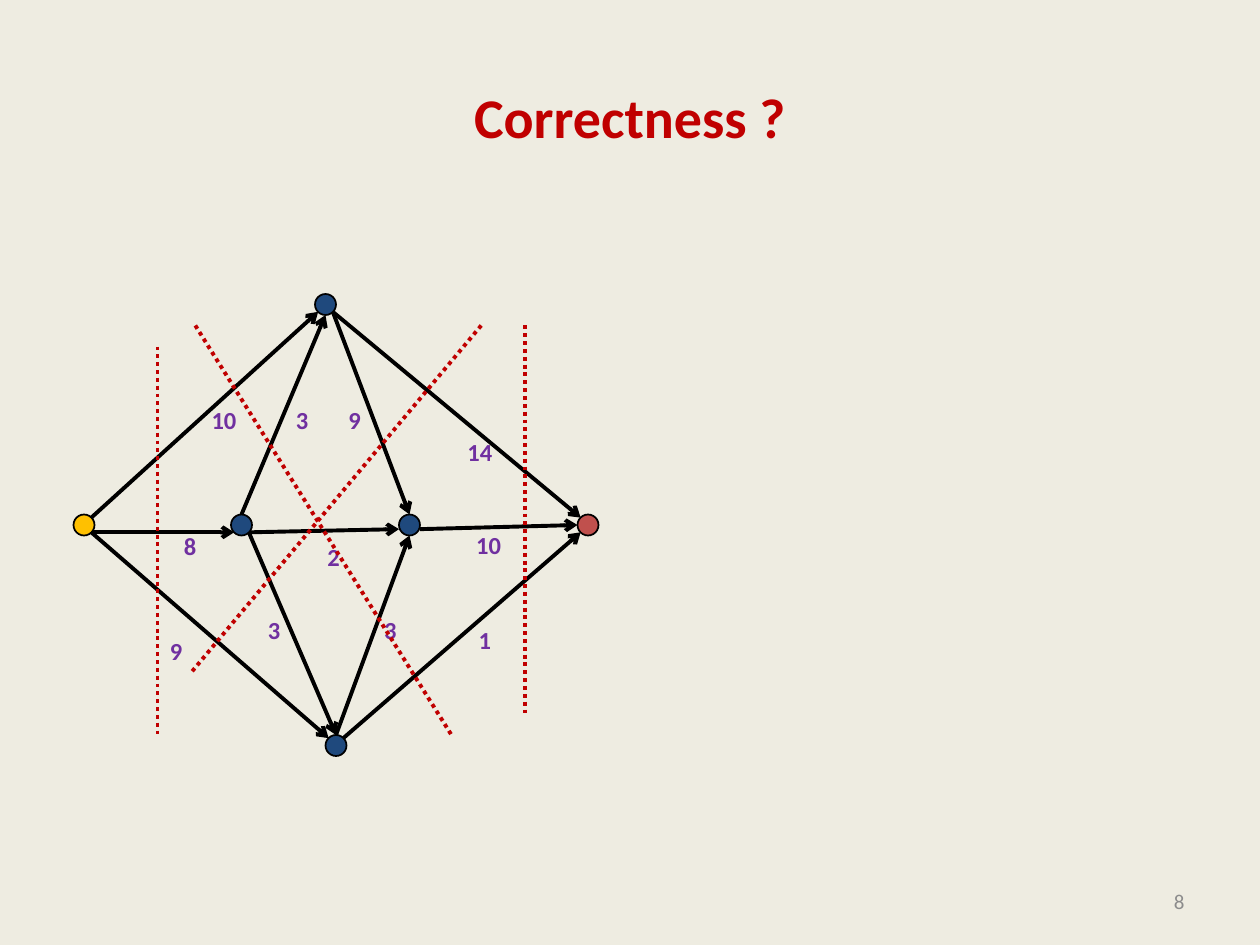
from dataclasses import dataclass
from lxml.etree import SubElement
from pptx import Presentation
from pptx.dml.color import RGBColor
from pptx.enum.dml import MSO_LINE
from pptx.enum.shapes import MSO_CONNECTOR, MSO_SHAPE
from pptx.enum.text import MSO_ANCHOR, MSO_AUTO_SIZE, PP_ALIGN
from pptx.oxml.ns import qn
from pptx.util import Pt


@dataclass(frozen=True)
class Theme:
    font: str = "Calibri"
    back: str = "EEECE1"
    red: str = "C00000"
    grey: str = "8C8C8C"
    black: str = "000000"
    purple: str = "7030A0"
    source: str = "FFC000"
    inner: str = "1F497D"
    sink: str = "C0504D"
    title: int = 32
    label: int = 14
    number: int = 12
    edge: float = 2.25
    rim: float = 1


THEME = Theme()
DOT = 12

NODES = {
    "s": (0, 126, THEME.source),
    "top": (138, 0, THEME.inner),
    "low": (144, 252, THEME.inner),
    "a": (90, 126, THEME.inner),
    "b": (186, 126, THEME.inner),
    "t": (288, 126, THEME.sink),
}

PORTS = {
    "N": (0.5, 0), "S": (0.5, 1), "W": (0, 0.5),
    "NW": (0.15, 0.15), "NE": (0.85, 0.15),
    "SW": (0.15, 0.85), "SE": (0.85, 0.85),
    "WSW": (0, 0.7), "ESE": (1, 0.7),
}

EDGES = [
    ("s", "NE", "top", "SW", "10", 71.8, 60),
    ("s", "SE", "low", "NW", "9", 48, 192),
    ("s", "SE", "a", "SW", "8", 56, 132),
    ("a", "N", "top", "S", "3", 120, 60),
    ("a", "SE", "low", "N", "3", 104, 180),
    ("a", "SE", "b", "WSW", "2", 138, 138),
    ("top", "SE", "b", "N", "9", 150, 60),
    ("low", "N", "b", "S", "3", 170.4, 180),
    ("top", "SE", "t", "NW", "14", 218, 78),
    ("b", "ESE", "t", "W", "10", 223, 131.5),
    ("low", "NE", "t", "SW", "1", 224.4, 185.5),
]

CUTS = [
    (48, 30, 48, 252),
    (258, 18, 258, 240),
    (69.6, 18, 216, 252),
    (233, 18, 67.5, 216),
]


def color(code):
    return RGBColor.from_string(code)


def add_text(slide, box, text, size, tint, bold=False, align=PP_ALIGN.LEFT,
             anchor=MSO_ANCHOR.MIDDLE, wrap=True):
    shape = slide.shapes.add_textbox(*map(Pt, box))
    frame = shape.text_frame
    frame.text = text
    frame.word_wrap = wrap
    frame.auto_size = MSO_AUTO_SIZE.NONE if wrap else MSO_AUTO_SIZE.SHAPE_TO_FIT_TEXT
    frame.vertical_anchor = anchor
    line = frame.paragraphs[0]
    line.alignment = align
    font = line.runs[0].font
    font.name, font.size, font.bold = THEME.font, Pt(size), bold
    font.color.rgb = color(tint)


def add_line(slide, ends, tint, arrow=False):
    link = slide.shapes.add_connector(MSO_CONNECTOR.STRAIGHT, *map(Pt, ends))
    link.line.color.rgb = color(tint)
    link.line.width = Pt(THEME.edge)
    if arrow:
        SubElement(link.line._get_or_add_ln(), qn("a:tailEnd"), type="arrow")
    else:
        link.line.dash_style = MSO_LINE.ROUND_DOT
    SubElement(link._element.spPr, qn("a:effectLst"))


def add_node(slide, left, top, tint):
    node = slide.shapes.add_shape(MSO_SHAPE.OVAL, *map(Pt, (left, top, DOT, DOT)))
    node.shadow.inherit = False
    node.fill.solid()
    node.fill.fore_color.rgb = color(tint)
    node.line.color.rgb = color(THEME.black)
    node.line.width = Pt(THEME.rim)


def port(name, side):
    left, top, _ = NODES[name]
    across, down = PORTS[side]
    return left + across * DOT, top + down * DOT


def add_graph(slide, box):
    x, y = box[:2]
    for start, out, end, into, *_ in EDGES:
        (x1, y1), (x2, y2) = port(start, out), port(end, into)
        add_line(slide, (x + x1, y + y1, x + x2, y + y2), THEME.black, arrow=True)
    for left, top, tint in NODES.values():
        add_node(slide, x + left, y + top, tint)
    for *_, weight, left, top in EDGES:
        wide = 14.4 + 7.2 * len(weight)
        add_text(slide, (x + left, y + top, wide, 24.5), weight, THEME.label,
                 THEME.purple, bold=True, anchor=MSO_ANCHOR.TOP, wrap=False)
    for x1, y1, x2, y2 in CUTS:
        add_line(slide, (x + x1, y + y1, x + x2, y + y2), THEME.red)


def add_title(slide, box):
    add_text(slide, box, "Correctness ?", THEME.title, THEME.red,
             bold=True, align=PP_ALIGN.CENTER)


def add_number(slide, box):
    add_text(slide, box, "8", THEME.number, THEME.grey, align=PP_ALIGN.RIGHT)


def main():
    deck = Presentation()
    deck.slide_width, deck.slide_height = Pt(720), Pt(540)
    slide = deck.slides.add_slide(deck.slide_layouts[6])
    slide.background.fill.solid()
    slide.background.fill.fore_color.rgb = color(THEME.back)
    add_title(slide, (36, 21.6, 648, 90))
    add_graph(slide, (42, 168, 300, 264))
    add_number(slide, (516, 500.5, 168, 28.75))
    deck.save("out.pptx")


if __name__ == "__main__":
    main()
